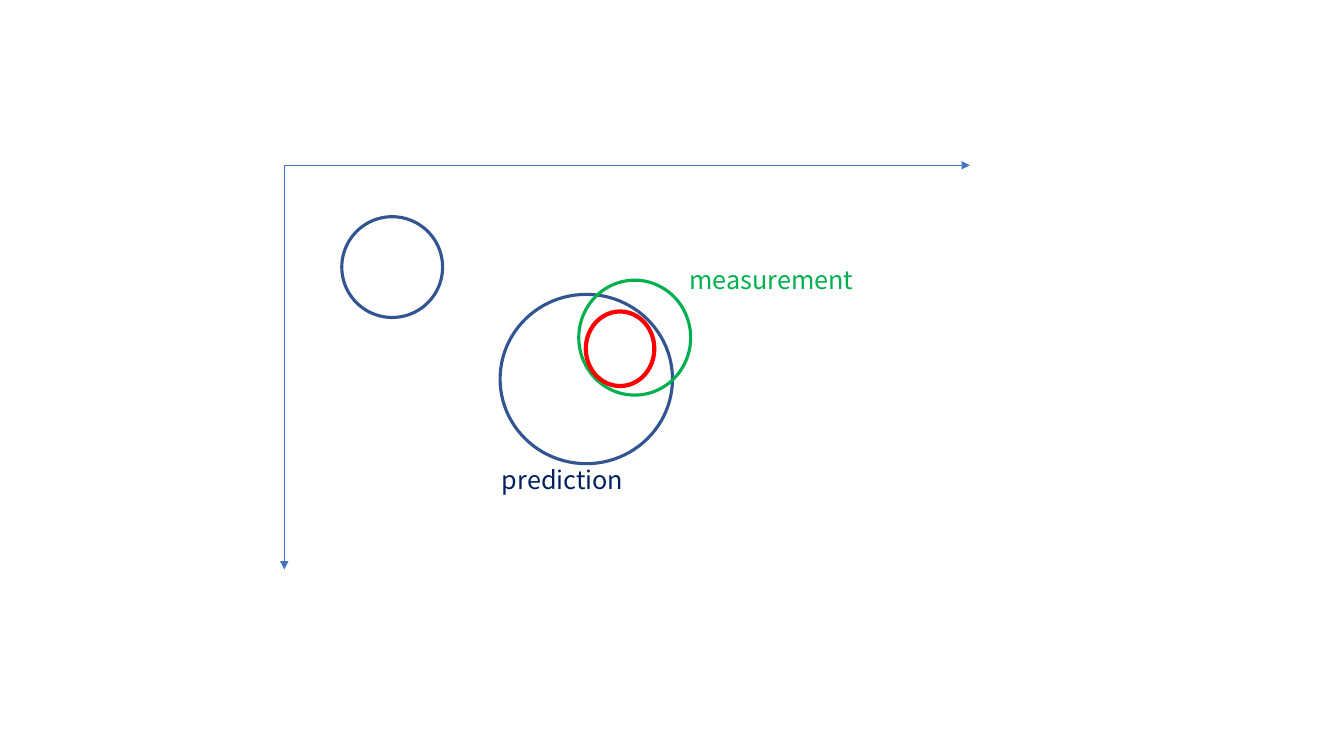
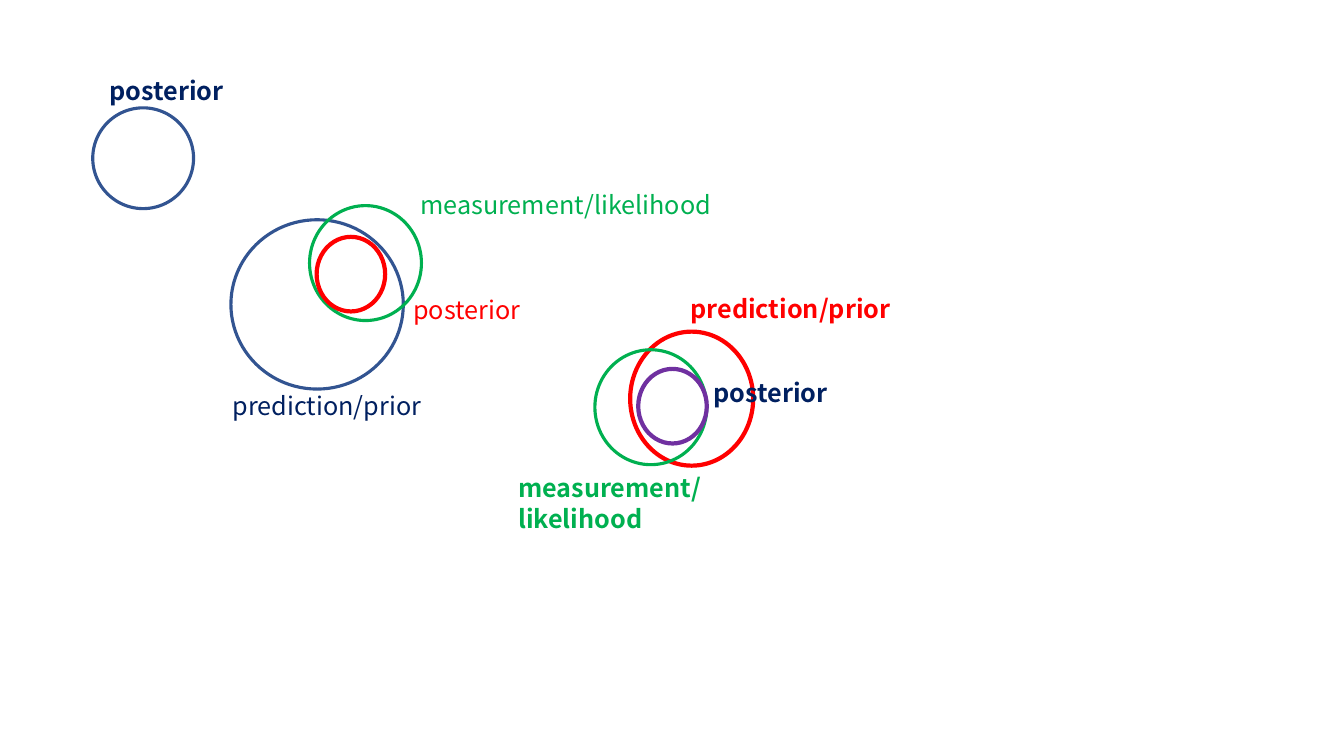
"""Build two slides showing how prediction and measurement combine into a posterior."""
from lxml import etree
from pptx import Presentation
from pptx import util as u
from pptx.dml.color import RGBColor
from pptx.enum import shapes, text
from pptx.oxml.ns import qn

FONT = "Noto Sans CJK SC"
AXIS, BLUE, NAVY = "4472C4", "325491", "002060"
GREEN, RED, PURPLE = "00B050", "FF0000", "7030A0"
THIN, THICK = 2.25, 3

START_SIZE = (1, 1)
PRIOR_SIZE = (1.71, 1.68)
NEXT_PRIOR_SIZE = (1.22, 1.33)
MEASUREMENT_SIZE = (1.11, 1.14)
POSTERIOR_SIZE = (0.68, 0.74)


def first_update(left, top):
    """Return the prior, measurement and posterior circles, placed from the prior's corner."""
    return [
        (left, top, PRIOR_SIZE, BLUE, THIN),
        (left + 0.78, top - 0.14, MEASUREMENT_SIZE, GREEN, THIN),
        (left + 0.85, top + 0.17, POSTERIOR_SIZE, RED, THICK),
    ]


ORIGIN = (2.82, 1.64)
SLIDES = [
    {
        "axes": [(2.82, 5.65), (9.62, 1.64)],
        "circles": [(3.39, 2.15, START_SIZE, BLUE, THIN), *first_update(4.96, 2.92)],
        "labels": [
            ("measurement", 6.74, 2.57, 2.28, GREEN, False),
            ("prediction", 4.88, 4.56, 2.28, NAVY, False),
        ],
    },
    {
        "axes": [],
        "circles": [
            (0.92, 1.07, START_SIZE, BLUE, THIN),
            *first_update(2.29, 2.18),
            (6.25, 3.29, NEXT_PRIOR_SIZE, RED, THICK),
            (5.9, 3.47, MEASUREMENT_SIZE, GREEN, THIN),
            (6.33, 3.66, POSTERIOR_SIZE, PURPLE, THICK),
        ],
        "labels": [
            ("posterior", 0.99, 0.7, 2.28, NAVY, True),
            ("measurement/likelihood", 4.07, 1.83, 3.14, GREEN, False),
            ("posterior", 4, 2.87, 1.82, RED, False),
            ("prediction/prior", 2.21, 3.82, 2.28, NAVY, False),
            ("prediction/prior", 6.75, 2.86, 2.28, RED, True),
            ("posterior", 6.98, 3.69, 1.82, NAVY, True),
            ("measurement/likelihood", 5.04, 4.64, 3.14, GREEN, True),
        ],
    },
]


def inches(*lengths):
    """Convert lengths to inches."""
    return [u.Inches(length) for length in lengths]


def set_line(line, color, width):
    """Give a line its colour and width in points."""
    line.color.rgb = RGBColor.from_string(color)
    line.width = u.Pt(width)


def add_axis(slide, end):
    """Draw an axis arrow from the origin."""
    axis = slide.shapes.add_connector(shapes.MSO_CONNECTOR.STRAIGHT, *inches(*ORIGIN, *end))
    set_line(axis.line, AXIS, 0.5)
    etree.SubElement(axis.line._get_or_add_ln(), qn("a:tailEnd"), type="triangle")
    etree.SubElement(axis._element.spPr, qn("a:effectLst"))


def add_circle(slide, left, top, size, color, width):
    """Draw an unfilled circle."""
    circle = slide.shapes.add_shape(shapes.MSO_SHAPE.OVAL, *inches(left, top, *size))
    circle.shadow.inherit = False
    circle.fill.background()
    set_line(circle.line, color, width)


def add_label(slide, wording, left, top, width, color, bold):
    """Write a coloured label."""
    frame = slide.shapes.add_textbox(*inches(left, top, width, 0.4)).text_frame
    frame.word_wrap = True
    frame.auto_size = text.MSO_AUTO_SIZE.SHAPE_TO_FIT_TEXT
    frame.text = wording
    font = frame.paragraphs[0].runs[0].font
    font.name, font.size, font.bold = FONT, u.Pt(18), bold
    font.color.rgb = RGBColor.from_string(color)


def main():
    """Build and save the slides."""
    deck = Presentation()
    deck.slide_width, deck.slide_height = inches(13.33, 7.5)
    for content in SLIDES:
        slide = deck.slides.add_slide(deck.slide_layouts[6])
        for end in content["axes"]:
            add_axis(slide, end)
        for circle in content["circles"]:
            add_circle(slide, *circle)
        for label in content["labels"]:
            add_label(slide, *label)
    deck.save("out.pptx")


if __name__ == "__main__":
    main()
